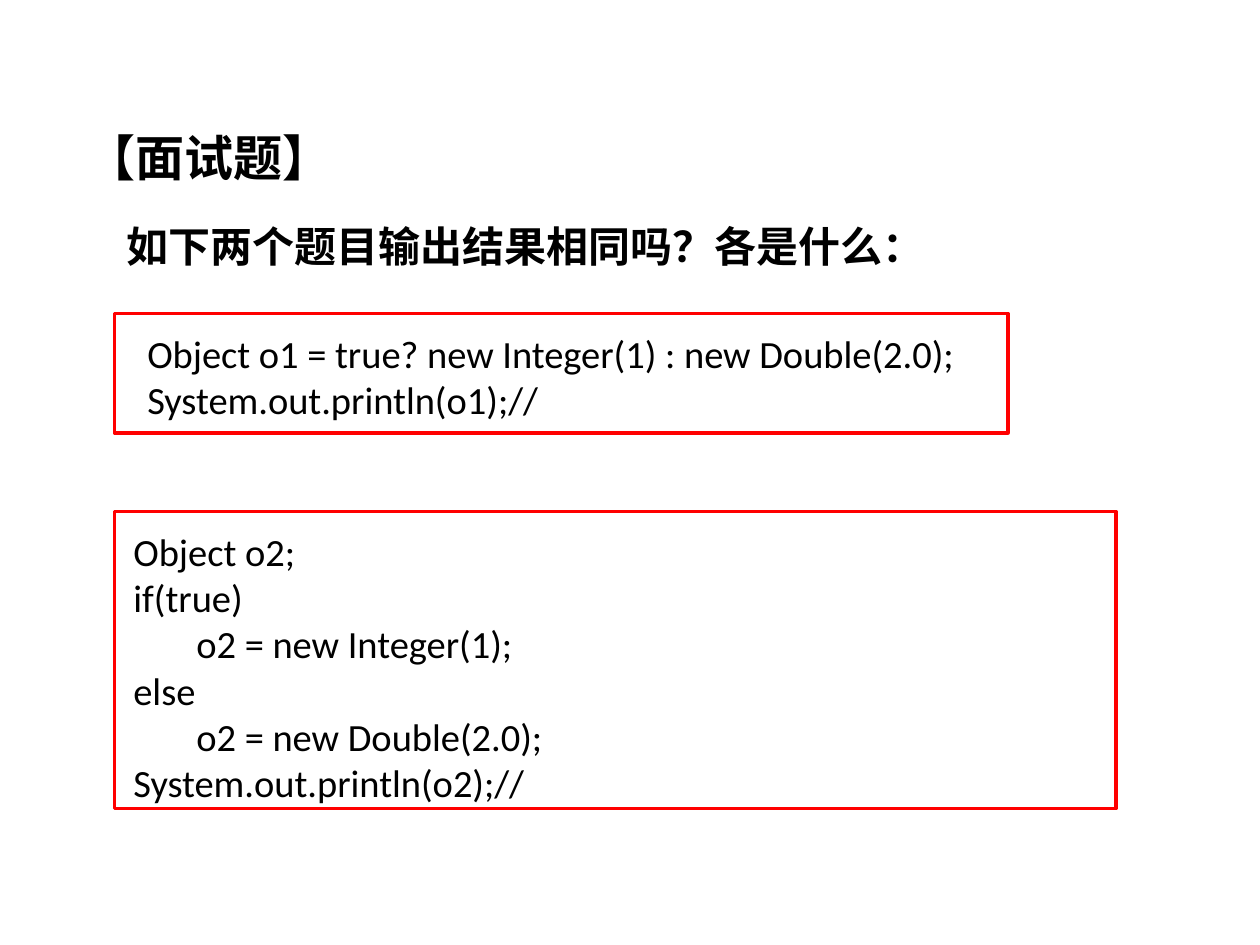
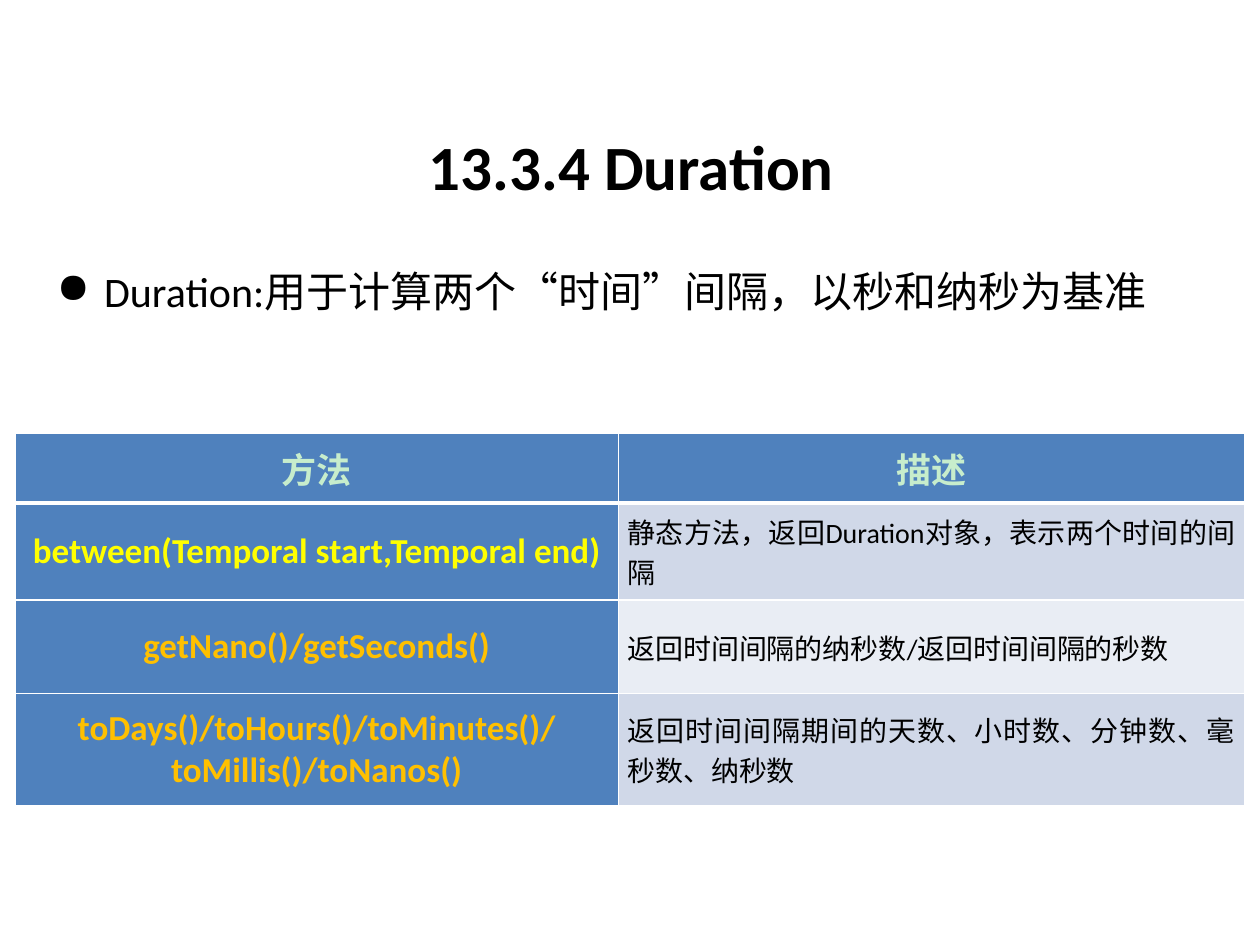
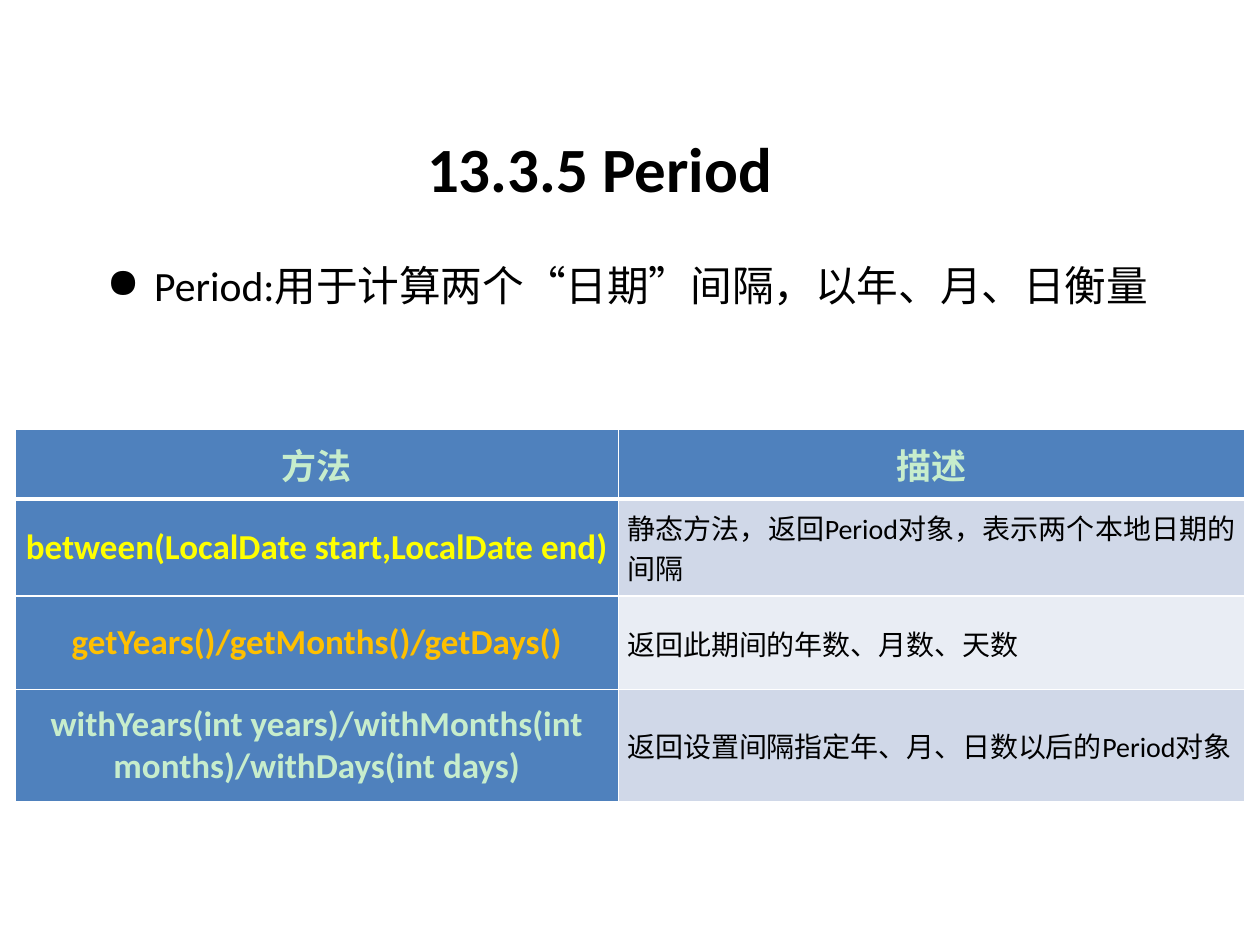
from lxml import etree
from pptx import Presentation
from pptx import util as u
from pptx.dml.color import RGBColor
from pptx.enum import lang, shapes, text
from pptx.oxml.ns import qn

COLORS = {
    "ink": "000000", "paper": "FFFFFF", "frame": "FF0000", "header": "4F81BD",
    "mint": "C7EDCC", "yellow": "FFFF00", "amber": "FFC000",
    "band_dark": "D0D8E8", "band_light": "E9EDF4",
}
LATIN, CJK = "Calibri", "Noto Sans CJK SC"
LEFT, CENTER, JUSTIFY = text.PP_ALIGN.LEFT, text.PP_ALIGN.CENTER, text.PP_ALIGN.JUSTIFY

QUIZ_HEADINGS = [
    ("【面试题】", 28, (1.5, 2.44, 10.39, 1.45)),
    ("如下两个题目输出结果相同吗？各是什么：", 24, (2.31, 4.32, 17.6, 1.27)),
]
QUIZ_SNIPPETS = [
    (["Object o1 = true? new Integer(1) : new Double(2.0);",
      "System.out.println(o1);//"],
     (2.72, 6.53, 17.6, 2.13), (2.31, 6.32, 18.01, 2.41)),
    (["Object o2;", "if(true)", "\to2 = new Integer(1);", "else",
      "\to2 = new Double(2.0);", "System.out.println(o2);//"],
     (2.44, 10.52, 20.17, 5.89), (2.31, 10.31, 20.19, 5.99)),
]
METHOD_SLIDES = [
    dict(title="13.3.4 Duration", title_box=(1.3, 2.13, 22.86, 2.39),
         summary="Duration:用于计算两个“时间”间隔，以秒和纳秒为基准",
         summary_box=(0.89, 4.72, 23.39, 2.01), size=24, spacing=1.5, table_top=8.74,
         methods=[
             (["between(Temporal start,Temporal end)"], "yellow",
              "静态方法，返回Duration对象，表示两个时间的间隔"),
             (["getNano()/getSeconds()"], "amber",
              "返回时间间隔的纳秒数/返回时间间隔的秒数"),
             (["toDays()/toHours()/toMinutes()/", "toMillis()/toNanos()"], "amber",
              "返回时间间隔期间的天数、小时数、分钟数、毫秒数、纳秒数"),
         ]),
    dict(title="13.3.5 Period", title_box=(0.66, 2.18, 22.86, 2.39),
         summary="Period:用于计算两个“日期”间隔，以年、月、日衡量",
         summary_box=(1.9, 4.72, 21.79, 2.01), size=23.8, spacing=1.4, table_top=8.66,
         methods=[
             (["between(LocalDate start,LocalDate end)"], "yellow",
              "静态方法，返回Period对象，表示两个本地日期的间隔"),
             (["getYears()/getMonths()/getDays()"], "amber",
              "返回此期间的年数、月数、天数"),
             (["withYears(int years)/withMonths(int months)/withDays(int days)"], "mint",
              "返回设置间隔指定年、月、日数以后的Period对象"),
         ]),
]
TABLE_HEADER = ["方法", "描述"]
COLUMN_WIDTHS = [12.17, 12.62]
ROW_HEIGHTS = [1.4, 1.96, 1.88, 2.26]


def lengths(box):
    return [u.Cm(side) for side in box]


def write(frame, lines, size=20, font=LATIN, color="ink", bold=False, align=LEFT,
          spacing=None, bullet=None):
    frame.word_wrap = True
    for index, line in enumerate(lines):
        paragraph = frame.paragraphs[0] if index == 0 else frame.add_paragraph()
        paragraph.alignment = align
        if spacing:
            paragraph.line_spacing = spacing
        if bullet:
            paragraph.space_before = u.Pt(size * 0.2)
            props = paragraph._p.get_or_add_pPr()
            props.set("marL", str(u.Cm(0.96)))
            props.set("indent", str(-u.Cm(0.96)))
            etree.SubElement(props, qn("a:buChar"), char=bullet)
        run = paragraph.add_run()
        run.text = line
        run.font.name = font
        run.font.size = u.Pt(size)
        run.font.bold = bold
        run.font.color.rgb = RGBColor.from_string(COLORS[color])
        run.font.language_id = lang.MSO_LANGUAGE_ID.SIMPLIFIED_CHINESE
        run.font._element.find(qn("a:latin")).addnext(
            etree.Element(qn("a:ea"), typeface=CJK))


def add_text(slide, box, lines, anchor=text.MSO_ANCHOR.TOP, **style):
    frame = slide.shapes.add_textbox(*lengths(box)).text_frame
    frame.vertical_anchor = anchor
    write(frame, lines, **style)


def add_frame(slide, box):
    frame = slide.shapes.add_shape(shapes.MSO_SHAPE.RECTANGLE, *lengths(box))
    frame.shadow.inherit = False
    frame.fill.background()
    frame.line.color.rgb = RGBColor.from_string(COLORS["frame"])
    frame.line.width = u.Pt(2)


def add_borders(cell, **widths):
    props = cell._tc.get_or_add_tcPr()
    for side in "LRTB":
        line = etree.SubElement(props, qn(f"a:ln{side}"), w=str(u.Pt(widths.get(side, 1))))
        fill = etree.SubElement(line, qn("a:solidFill"))
        etree.SubElement(fill, qn("a:srgbClr"), val=COLORS["paper"])


def fill_cell(cell, lines, fill, borders, **style):
    cell.vertical_anchor = text.MSO_ANCHOR.MIDDLE
    cell.margin_left = cell.margin_right = u.Cm(0.18)
    cell.margin_top = cell.margin_bottom = 0
    add_borders(cell, **borders)
    cell.fill.solid()
    cell.fill.fore_color.rgb = RGBColor.from_string(COLORS[fill])
    write(cell.text_frame, lines, **style)


def add_method_table(slide, top, methods):
    box = (0.3, top, sum(COLUMN_WIDTHS), sum(ROW_HEIGHTS))
    table = slide.shapes.add_table(len(methods) + 1, 2, *lengths(box)).table
    for column, width in zip(table.columns, COLUMN_WIDTHS):
        column.width = u.Cm(width)
    for row, height in zip(table.rows, ROW_HEIGHTS):
        row.height = u.Cm(height)
    for column, label in enumerate(TABLE_HEADER):
        fill_cell(table.cell(0, column), [label], "header", {"B": 3},
                  color="mint", bold=True, align=CENTER)
    for row, (names, color, description) in enumerate(methods, 1):
        borders = {"T": 3} if row == 1 else {}
        fill_cell(table.cell(row, 0), names, "header", borders,
                  color=color, bold=True, align=CENTER)
        fill_cell(table.cell(row, 1), [description],
                  "band_dark" if row % 2 else "band_light", borders,
                  size=16, align=JUSTIFY)


def add_slide(deck):
    slide = deck.slides.add_slide(deck.slide_layouts[6])
    slide.background.fill.solid()
    slide.background.fill.fore_color.rgb = RGBColor.from_string(COLORS["paper"])
    return slide


def build_quiz(deck):
    slide = add_slide(deck)
    for heading, size, box in QUIZ_HEADINGS:
        add_text(slide, box, [heading], size=size, font=CJK, bold=True)
    for code, code_box, frame_box in QUIZ_SNIPPETS:
        add_text(slide, code_box, code, size=22)
        add_frame(slide, frame_box)


def build_methods(deck, topic):
    slide = add_slide(deck)
    add_text(slide, topic["title_box"], [topic["title"]], size=36, bold=True,
             align=CENTER, anchor=text.MSO_ANCHOR.MIDDLE)
    add_text(slide, topic["summary_box"], [topic["summary"]], size=topic["size"],
             spacing=topic["spacing"], bullet="●")
    add_method_table(slide, topic["table_top"], topic["methods"])


def main():
    deck = Presentation()
    deck.slide_width, deck.slide_height = u.Cm(25.4), u.Cm(19.05)
    build_quiz(deck)
    for topic in METHOD_SLIDES:
        build_methods(deck, topic)
    deck.save("out.pptx")


if __name__ == "__main__":
    main()
